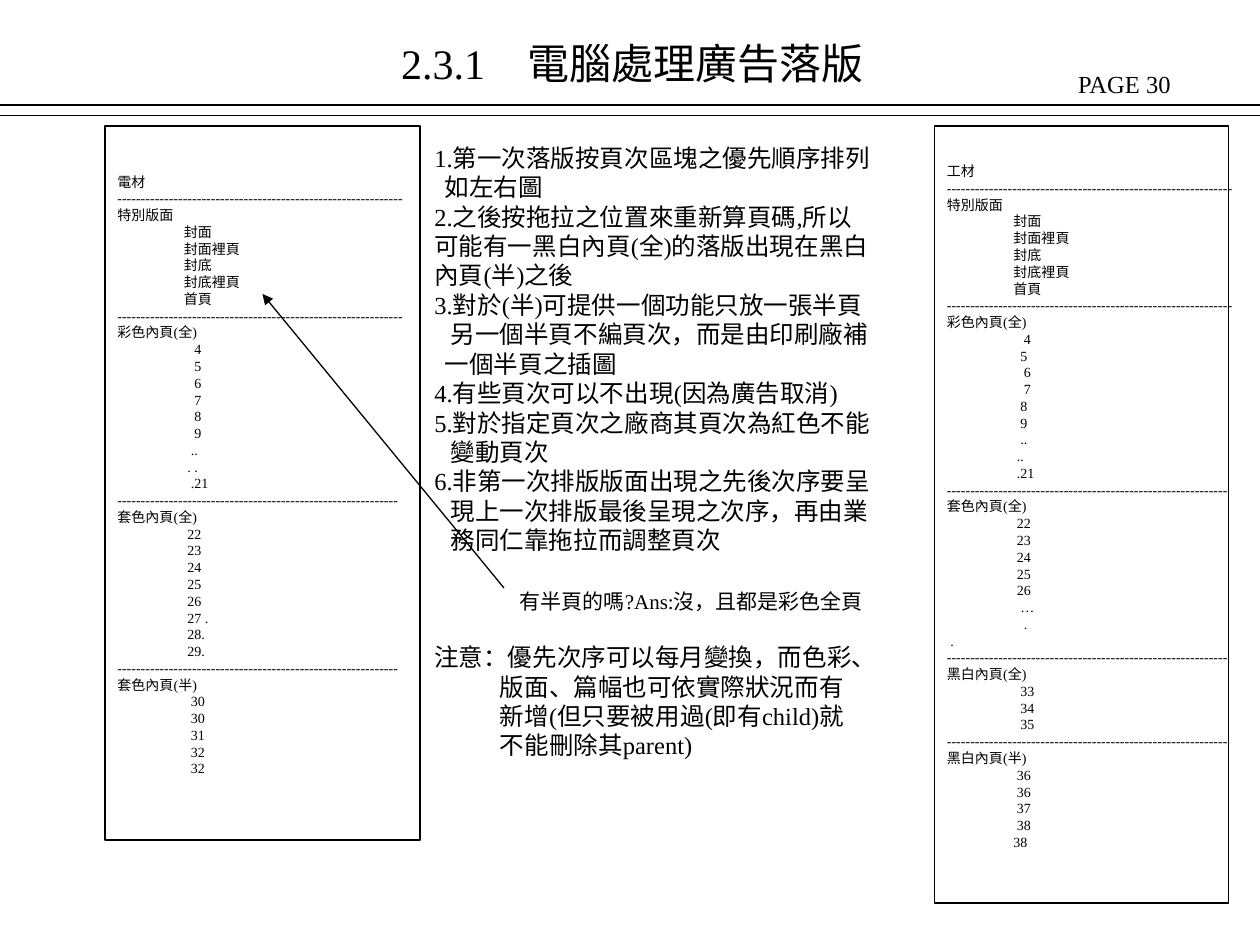
"""Build the slide on computer-assisted advertisement page layout."""
from lxml import etree
from pptx import Presentation
from pptx import util as u
from pptx.dml.color import RGBColor
from pptx.enum import shapes, text
from pptx.oxml.ns import qn

COLORS = {"ink": "000000"}
FONT = "Times New Roman"
TITLE = "2.3.1\t電腦處理廣告落版"
TITLE_TAB = 66

LONG_RULE, SHORT_RULE = (0, "-" * 61), (0, "-" * 60)
SPECIAL_PAGES = [
    LONG_RULE, (0, "特別版面"),
    *[(38, name) for name in ("封面", "封面裡頁", "封底", "封底裡頁", "首頁")],
    LONG_RULE, (0, "彩色內頁(全)"),
]
LEFT_LIST = [
    (0, "電材"), *SPECIAL_PAGES,
    *[(44, number) for number in "456789"],
    (42, ".."), (40, ". ."), (42, ".21"),
    SHORT_RULE, (0, "套色內頁(全)"),
    *[(40, number) for number in ("22", "23", "24", "25", "26", "27 .", "28.", "29.")],
    SHORT_RULE, (0, "套色內頁(半)"),
    *[(42, number) for number in ("30", "30", "31", "32", "32")],
]
RIGHT_LIST = [
    (0, "工材"), *SPECIAL_PAGES,
    (44, "4"), (42, "5"), (44, "6"), (44, "7"), (42, "8"), (42, "9"),
    (42, ".."), (40, ".."), (40, ".21"),
    SHORT_RULE, (0, "套色內頁(全)"),
    *[(40, number) for number in ("22", "23", "24", "25", "26")],
    (42, "…"), (44, "."), (2, "."),
    SHORT_RULE, (0, "黑白內頁(全)"),
    *[(42, number) for number in ("33", "34", "35")],
    SHORT_RULE, (0, "黑白內頁(半)"),
    *[(40, number) for number in ("36", "36", "37", "38")], (38, "38"),
]
RULES = [
    (0, "1.第一次落版按頁次區塊之優先順序排列"),
    (6, "如左右圖"),
    (0, "2.之後按拖拉之位置來重新算頁碼,所以"),
    (0, "可能有一黑白內頁(全)的落版出現在黑白"),
    (0, "內頁(半)之後"),
    (0, "3.對於(半)可提供一個功能只放一張半頁"),
    (9.4, "另一個半頁不編頁次，而是由印刷廠補"),
    (6, "一個半頁之插圖"),
    (0, "4.有些頁次可以不出現(因為廣告取消)"),
    (0, "5.對於指定頁次之廠商其頁次為紅色不能"),
    (9.4, "變動頁次"),
    (0, "6.非第一次排版版面出現之先後次序要呈"),
    (9.4, "現上一次排版最後呈現之次序，再由業"),
    (9.4, "務同仁靠拖拉而調整頁次"),
]
CAUTION = [
    (0, "注意：優先次序可以每月變換，而色彩、"),
    (37.5, "版面、篇幅也可依實際狀況而有"),
    (37.5, "新增(但只要被用過(即有child)就"),
    (37.5, "不能刪除其parent)"),
]
CAUTION_GAP = 50
PANELS = [((60, 72, 180, 408), LEFT_LIST), ((534, 72, 168, 444), RIGHT_LIST)]
LABELS = [((609, 36, 113, 24), "PAGE 30", 14),
          ((290, 333, 216, 22), "有半頁的嗎?Ans:沒，且都是彩色全頁", 12)]
HEADER_LINES = [(0, 60, 720, 60), (0, 66, 720, 66)]
ARROW = (288, 336, 150, 168)


def points(values):
    return [u.Pt(value) for value in values]


def ink():
    return RGBColor.from_string(COLORS["ink"])


def apply(target, **values):
    for name, value in values.items():
        setattr(target, name, value)


def place(box, area):
    apply(box, **dict(zip(("left", "top", "width", "height"), points(area))))


def write(box, lines, size, gaps=None, **frame_format):
    frame = box.text_frame
    apply(frame, **{"margin_left": u.Pt(7.2), "margin_right": u.Pt(7.2),
                    "margin_top": u.Pt(3.6), "margin_bottom": u.Pt(3.6),
                    "word_wrap": False, "auto_size": text.MSO_AUTO_SIZE.NONE,
                    "vertical_anchor": text.MSO_ANCHOR.TOP, **frame_format})
    for index, (indent, line) in enumerate(lines):
        para = frame.paragraphs[0] if index == 0 else frame.add_paragraph()
        properties = para._p.get_or_add_pPr()
        properties.set("marL", str(u.Pt(indent)))
        properties.set("indent", "0")
        etree.SubElement(properties, qn("a:buNone"))
        if "\t" in line:
            tabs = etree.SubElement(properties, qn("a:tabLst"))
            etree.SubElement(tabs, qn("a:tab"), pos=str(u.Pt(TITLE_TAB)), algn="l")
        apply(para, alignment=text.PP_ALIGN.LEFT,
              space_before=u.Pt((gaps or {}).get(index, 0)))
        span = para.add_run()
        span.text = line
        apply(span.font, name=FONT, size=u.Pt(size))
        span.font.color.rgb = ink()


def draw_line(page, ends, arrow=False):
    line = page.shapes.add_connector(shapes.MSO_CONNECTOR.STRAIGHT, *points(ends))
    line.line.width = u.Pt(0.75)
    line.line.color.rgb = ink()
    if arrow:
        etree.SubElement(line.line._get_or_add_ln(), qn("a:tailEnd"), type="triangle")
    etree.SubElement(line._element.spPr, qn("a:effectLst"))


def main():
    deck = Presentation()
    apply(deck, slide_width=u.Pt(720), slide_height=u.Pt(540))
    page = deck.slides.add_slide(deck.slide_layouts[1])

    title, body = page.placeholders
    place(title, (222, 18, 300, 36))
    write(title, [(0, TITLE)], 24, word_wrap=True)
    place(body, (241, 78, 276, 377))
    write(body, RULES + CAUTION, 14, gaps={len(RULES): CAUTION_GAP})

    for ends in HEADER_LINES:
        draw_line(page, ends)
    for area, lines in PANELS:
        panel = page.shapes.add_shape(shapes.MSO_SHAPE.RECTANGLE, *points(area))
        panel.shadow.inherit = False
        panel.fill.background()
        panel.line.width = u.Pt(0.75)
        panel.line.color.rgb = ink()
        write(panel, lines, 8, vertical_anchor=text.MSO_ANCHOR.MIDDLE,
              margin_bottom=u.Pt(12.8))
    draw_line(page, ARROW, arrow=True)
    for area, label, size in LABELS:
        write(page.shapes.add_textbox(*points(area)), [(0, label)], size)

    deck.save("out.pptx")


if __name__ == "__main__":
    main()
